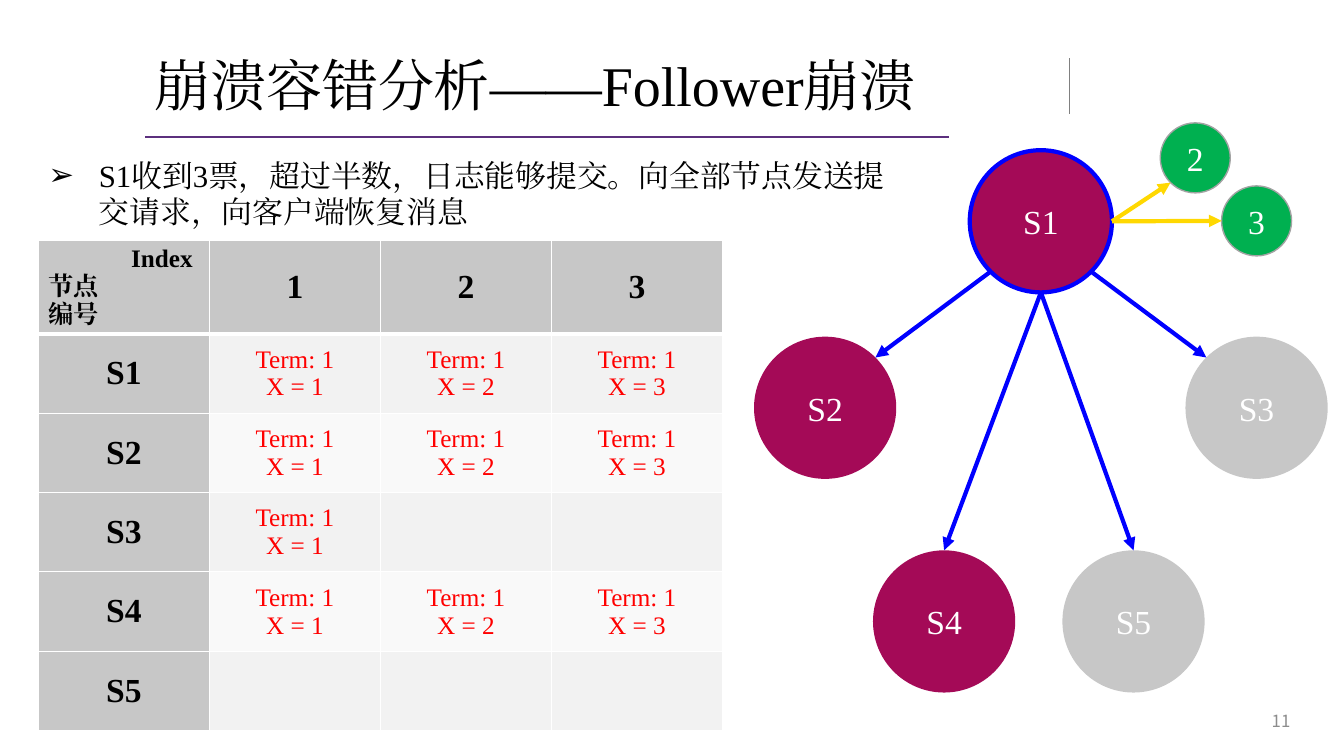
from math import cos, radians, sin

from lxml.etree import SubElement
from pptx import Presentation
from pptx.dml.color import RGBColor
from pptx.enum.shapes import MSO_CONNECTOR, MSO_SHAPE
from pptx.enum.text import MSO_ANCHOR, MSO_AUTO_SIZE, PP_ALIGN
from pptx.oxml.ns import qn
from pptx.util import Pt

SERIF = "Times New Roman"
SANS = "Noto Sans CJK SC"
BLACK, WHITE, RED = "000000", "FFFFFF", "FF0000"
CRIMSON, SILVER, GREEN = "A40A57", "C7C7C7", "00B050"
BLUE, YELLOW = "0000FF", "FFD801"
BAND_FILLS = ["F2F2F2", "F9F9F9"]
NODE_SIZE, VOTE_SIZE = 101.6, 50
LOG_LENGTHS = {"S1": 3, "S2": 3, "S3": 1, "S4": 3, "S5": 0}


def color(value):
    return RGBColor.from_string(value)


def points(*values):
    return [Pt(value) for value in values]


def format_text(frame, size, tint, align, font=SERIF, bold=False):
    for para in frame.paragraphs:
        para.alignment = align
        for span in para.runs:
            span.font.size = Pt(size)
            span.font.name = font
            span.font.bold = bold
            span.font.color.rgb = color(tint)
            east_asian = SubElement(span.font._element, qn("a:ea"))
            east_asian.set("typeface", font)


def place(shape, box):
    shape.left, shape.top, shape.width, shape.height = points(*box)


def add_line(page, start, end, tint, width, arrow=False):
    line = page.shapes.add_connector(MSO_CONNECTOR.STRAIGHT, *points(*start, *end))
    line.line.color.rgb = color(tint)
    line.line.width = Pt(width)
    if arrow:
        SubElement(line.line._get_or_add_ln(), qn("a:tailEnd")).set("type", "triangle")
    SubElement(line._element.spPr, qn("a:effectLst"))


def add_title(page, box):
    left, top, width, height = box
    add_line(page, (left + 0.7, top + height), (left + 575.2, top + height), "5C307E", 1.5)
    add_line(page, (left + 660.9, top + 13), (left + 660.9, top + 52.6), "808080", 1)
    title = page.shapes.title
    place(title, box)
    frame = title.text_frame
    frame.text = "崩溃容错分析——Follower崩溃"
    frame.auto_size = MSO_AUTO_SIZE.NONE
    frame.vertical_anchor = MSO_ANCHOR.MIDDLE
    frame.paragraphs[0].line_spacing = 0.9
    format_text(frame, 40, BLACK, PP_ALIGN.LEFT)


def add_summary(page, box):
    body = page.placeholders[1]
    place(body, box)
    frame = body.text_frame
    frame.text = "S1收到3票，超过半数，日志能够提交。向全部节点发送提交请求，向客户端恢复消息"
    frame.auto_size = MSO_AUTO_SIZE.NONE
    frame.vertical_anchor = MSO_ANCHOR.TOP
    para = frame.paragraphs[0]
    properties = para._p.get_or_add_pPr()
    properties.set("marL", str(Pt(36)))
    properties.set("indent", str(Pt(-36)))
    SubElement(properties, qn("a:buChar")).set("char", "➢")
    para.space_before = Pt(0)
    para.line_spacing = Pt(26.4)
    format_text(frame, 22, BLACK, PP_ALIGN.LEFT)


def style_cell(cell, fill, top, bottom):
    properties = cell._tc.get_or_add_tcPr()
    for side, width in (("L", 1), ("R", 1), ("T", top), ("B", bottom)):
        border = SubElement(properties, qn(f"a:ln{side}"), w=str(Pt(width)))
        paint = SubElement(border, qn("a:solidFill"))
        SubElement(paint, qn("a:srgbClr")).set("val", WHITE)
    cell.fill.solid()
    cell.fill.fore_color.rgb = color(fill)
    cell.vertical_anchor = MSO_ANCHOR.MIDDLE


def add_log_table(page, box):
    header_height, row_height = 66, 56.7
    rows = [["Index\n节点\n编号", "1", "2", "3"]]
    for node, length in LOG_LENGTHS.items():
        rows.append([node] + [f"Term: 1\nX = {index}" if index <= length else ""
                              for index in (1, 2, 3)])
    table = page.shapes.add_table(len(rows), 4, *points(*box)).table
    for column in table.columns:
        column.width = Pt(box[2] / 4)
    for row_index, texts in enumerate(rows):
        table.rows[row_index].height = Pt(row_height if row_index else header_height)
        for column_index, text in enumerate(texts):
            cell = table.cell(row_index, column_index)
            heading = row_index == 0 or column_index == 0
            fill = SILVER if heading else BAND_FILLS[(row_index - 1) % 2]
            style_cell(cell, fill, 3 if row_index == 1 else 1, 1 if row_index else 3)
            cell.text_frame.text = text
            format_text(cell.text_frame, 24 if heading else 18,
                        BLACK if heading else RED, PP_ALIGN.CENTER, bold=heading)
    corner = table.cell(0, 0)
    corner.vertical_anchor = MSO_ANCHOR.TOP
    corner.margin_right = Pt(12)
    format_text(corner.text_frame, 18, BLACK, PP_ALIGN.LEFT, bold=True)
    corner.text_frame.paragraphs[0].alignment = PP_ALIGN.RIGHT


def add_circle(page, label, left, top, size, fill, outline=None, width=1):
    circle = page.shapes.add_shape(MSO_SHAPE.OVAL, *points(left, top, size, size))
    circle.shadow.inherit = False
    circle.fill.solid()
    circle.fill.fore_color.rgb = color(fill)
    if outline:
        circle.line.color.rgb = color(outline)
        circle.line.width = Pt(width)
    else:
        circle.line.fill.background()
    frame = circle.text_frame
    frame.text = label
    frame.vertical_anchor = MSO_ANCHOR.MIDDLE
    format_text(frame, 24, WHITE, PP_ALIGN.CENTER)

    def rim(degrees):
        angle, radius = radians(degrees), size / 2
        return left + radius + radius * cos(angle), top + radius + radius * sin(angle)

    return rim


def add_cluster(page, box):
    left, top = box[:2]
    leader = add_circle(page, "S1", left + 154.1, top + 19.5, NODE_SIZE, CRIMSON, BLUE, 3)
    followers = [
        ("S2", 0, 152.7, CRIMSON, 135, -45),
        ("S3", 308.2, 152.7, SILVER, 45, -135),
        ("S4", 85, 305.3, CRIMSON, 90, -90),
        ("S5", 220.3, 305.3, SILVER, 90, -90),
    ]
    for label, across, down, fill, start, end in followers:
        rim = add_circle(page, label, left + across, top + down, NODE_SIZE, fill)
        add_line(page, leader(start), rim(end), BLUE, 3, arrow=True)
    for label, across, down, end in (("3", 334, 45, 180), ("2", 290.2, 0, 135)):
        rim = add_circle(page, label, left + across, top + down, VOTE_SIZE, GREEN, "A3A3A3")
        add_line(page, leader(0), rim(end), YELLOW, 3, arrow=True)


def add_page_number(page, box):
    frame = page.shapes.add_textbox(*points(*box)).text_frame
    frame.word_wrap = True
    frame.text = "11"
    frame.vertical_anchor = MSO_ANCHOR.MIDDLE
    format_text(frame, 12, "8C8C8C", PP_ALIGN.RIGHT, font=SANS)


def main():
    deck = Presentation()
    deck.slide_width, deck.slide_height = points(960, 540)
    page = deck.slides.add_slide(deck.slide_layouts[1])
    add_title(page, (103, 28.8, 647.3, 69.1))
    add_summary(page, (27.4, 108, 627.8, 60.5))
    add_log_table(page, (27.4, 171.4, 488.8, 349.5))
    add_cluster(page, (538.6, 87.8, 409.8, 406.9))
    add_page_number(page, (712.8, 500.4, 216, 28.8))
    deck.save("out.pptx")


if __name__ == "__main__":
    main()
